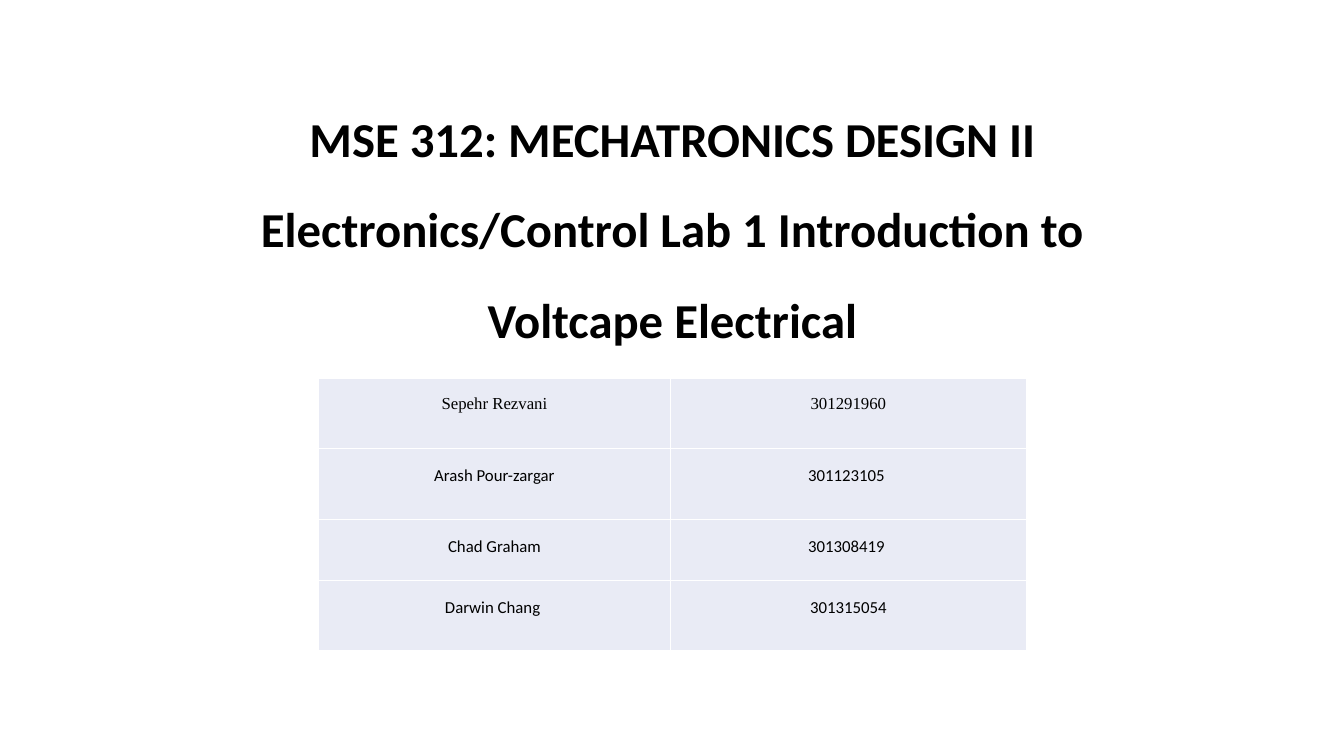
from dataclasses import dataclass

from lxml import etree
from pptx import Presentation
from pptx import util as u
from pptx.dml.color import RGBColor
from pptx.enum import text
from pptx.oxml.ns import qn


@dataclass(frozen=True)
class Theme:
    ink: str = "000000"
    cell: str = "E9EBF5"
    border: str = "FFFFFF"
    font: str = "Calibri"
    serif: str = "Times New Roman"
    title_size: int = 60
    cell_size: int = 12


class SlideBuilder:
    def __init__(self, page, theme):
        self.page = page
        self.theme = theme

    def style(self, font, name, size, bold=False):
        font.name = name
        font.size = u.Pt(size)
        font.bold = bold
        font.color.rgb = RGBColor.from_string(self.theme.ink)

    def title(self, lines, left, top, width, height):
        box = self.page.shapes.title
        box.left, box.top = u.Inches(left), u.Inches(top)
        box.width, box.height = u.Inches(width), u.Inches(height)
        frame = box.text_frame
        frame.word_wrap = True
        frame.auto_size = text.MSO_AUTO_SIZE.NONE
        frame.vertical_anchor = text.MSO_ANCHOR.BOTTOM
        para = frame.paragraphs[0]
        para.alignment = text.PP_ALIGN.CENTER
        para.line_spacing = 0.9
        for index, line in enumerate(lines):
            if index:
                para.add_line_break()
            span = para.add_run()
            span.text = line
            self.style(span.font, self.theme.font, self.theme.title_size, True)
            span.font._element.set("baseline", "30000")

    def borders(self, cell):
        properties = cell._tc.get_or_add_tcPr()
        for side in ("a:lnL", "a:lnR", "a:lnT", "a:lnB"):
            line = etree.SubElement(properties, qn(side), w=str(u.Pt(1)))
            fill = etree.SubElement(line, qn("a:solidFill"))
            etree.SubElement(fill, qn("a:srgbClr"), val=self.theme.border)

    def fill_cell(self, cell, words, font_name):
        self.borders(cell)
        cell.fill.solid()
        cell.fill.fore_color.rgb = RGBColor.from_string(self.theme.cell)
        cell.margin_left = cell.margin_right = u.Inches(0.07)
        cell.margin_top = cell.margin_bottom = u.Inches(0.07)
        para = cell.text_frame.paragraphs[0]
        para.alignment = text.PP_ALIGN.CENTER
        para.line_spacing = 1.5
        span = para.add_run()
        span.text = words
        self.style(span.font, font_name, self.theme.cell_size)

    def table(self, rows, left, top, widths, heights):
        frame = self.page.shapes.add_table(
            len(rows), len(widths), u.Inches(left), u.Inches(top),
            u.Inches(sum(widths)), u.Inches(sum(heights)))
        table = frame.table
        table.first_row = table.horz_banding = False
        for column, width in zip(table.columns, widths):
            column.width = u.Inches(width)
        for row, height in zip(table.rows, heights):
            row.height = u.Inches(height)
        for r, row in enumerate(rows):
            font_name = self.theme.font if r else self.theme.serif
            for c, words in enumerate(row):
                self.fill_cell(table.cell(r, c), words, font_name)


def main():
    deck = Presentation()
    deck.slide_width, deck.slide_height = u.Inches(13.33), u.Inches(7.5)
    page = deck.slides.add_slide(deck.slide_layouts[0])
    subtitle = page.placeholders[1].element
    subtitle.getparent().remove(subtitle)

    builder = SlideBuilder(page, Theme())
    builder.title(
        ["MSE 312: MECHATRONICS DESIGN II",
         "Electronics/Control Lab 1 Introduction to Voltcape Electrical"],
        1.67, 0.42, 10, 3.42)
    students = [
        ("Sepehr Rezvani", "301291960"),
        ("Arash Pour-zargar", "301123105 "),
        ("Chad Graham", "301308419 "),
        ("Darwin Chang ", "301315054"),
    ]
    builder.table(students, 3.16, 3.75, (3.49, 3.53), (0.7, 0.7, 0.61, 0.69))
    deck.save("out.pptx")


if __name__ == "__main__":
    main()
